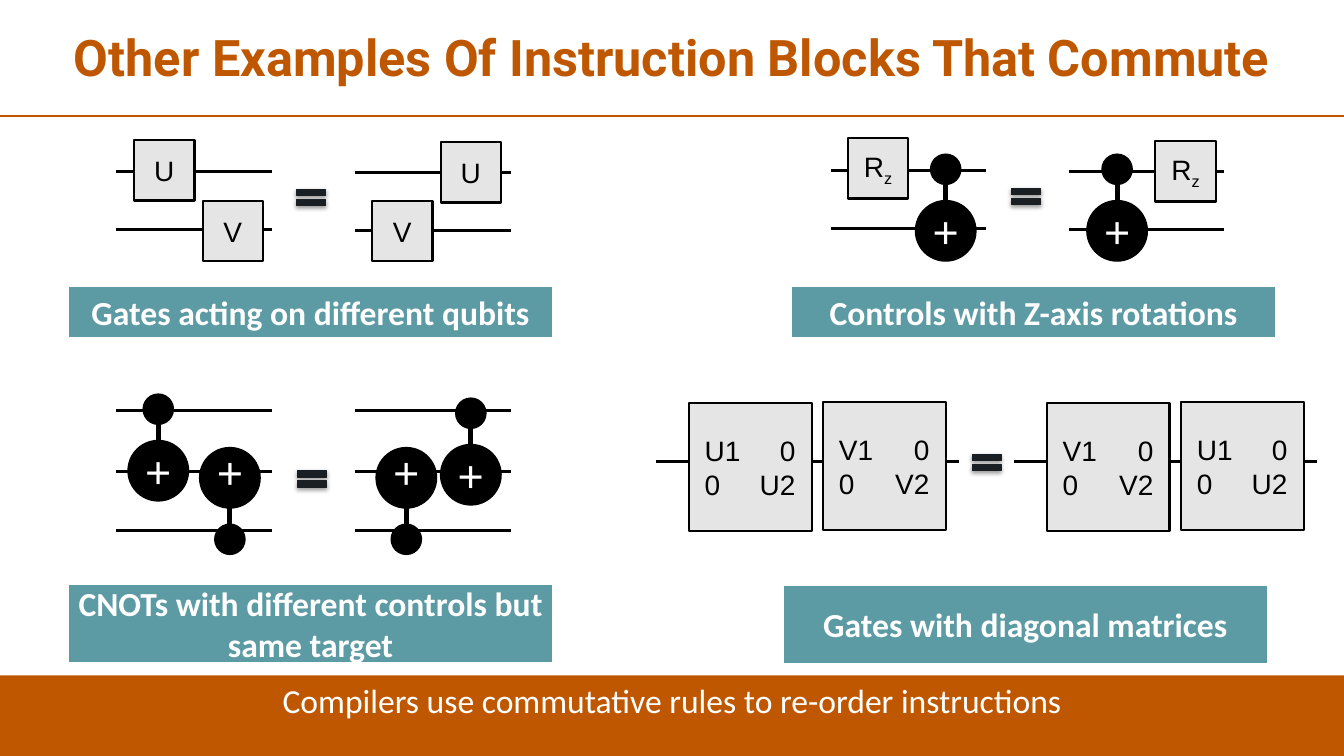
import lxml.etree
import pptx
import pptx.dml.color
import pptx.enum.shapes
import pptx.enum.text
import pptx.oxml.ns
import pptx.util

RGB = pptx.dml.color.RGBColor
SHAPE = pptx.enum.shapes.MSO_SHAPE
ALIGN = pptx.enum.text.PP_ALIGN
ANCHOR = pptx.enum.text.MSO_ANCHOR

TITLE = RGB(0xBE, 0x57, 0x00)
ORANGE = RGB(0xBF, 0x57, 0x00)
TEAL = RGB(0x5C, 0x9B, 0xA4)
GRAY = RGB(0xE5, 0xE5, 0xE5)
DARK = RGB(0x1A, 0x1F, 0x24)
BLACK = RGB(0x00, 0x00, 0x00)
WHITE = RGB(0xFF, 0xFF, 0xFF)

WIDTH, HEIGHT = 1333, 750
GATE = 60
DOT = 30
STEM = 16


def px(count):
    """Turn px, 100 to the inch, into EMU."""
    return pptx.util.Emu(count * 9144)


def add_node(parent, tag, **attrs):
    node = lxml.etree.SubElement(parent, pptx.oxml.ns.qn(tag))
    for name, value in attrs.items():
        node.set(name, str(value))
    return node


def add_line(shapes, x1, y1, x2, y2, color=BLACK, weight=2):
    line = shapes.add_connector(
        pptx.enum.shapes.MSO_CONNECTOR.STRAIGHT, px(x1), px(y1), px(x2), px(y2))
    line.line.color.rgb = color
    line.line.width = pptx.util.Pt(weight)
    add_node(line._element.spPr, "a:effectLst")


def add_box(shapes, kind, x, y, w, h, fill, edge=None, weight=1):
    box = shapes.add_shape(kind, px(x), px(y), px(w), px(h))
    box.shadow.inherit = False
    box.fill.solid()
    box.fill.fore_color.rgb = fill
    if edge is None:
        box.line.fill.background()
    else:
        box.line.color.rgb = edge
        box.line.width = pptx.util.Pt(weight)
    return box


def set_frame(box, inset=None, anchor=ANCHOR.MIDDLE):
    frame = box.text_frame
    frame.word_wrap = True
    frame.vertical_anchor = anchor
    if inset is not None:
        frame.margin_left = frame.margin_right = px(inset)
        frame.margin_top = frame.margin_bottom = 0
    return frame


def add_run(para, text, size, font, color, bold=False):
    run = para.add_run()
    run.text = text
    run.font.size = pptx.util.Pt(size)
    run.font.name = font
    run.font.color.rgb = color
    run.font.bold = bold
    return run


def add_text(frame, text, size, font, color, bold=False):
    para = frame.paragraphs[0]
    para.alignment = ALIGN.CENTER
    add_run(para, text, size, font, color, bold)
    return para


def add_wires(slide, x1, x2, *rows):
    """Start a grouped circuit with one wire per row; return its shapes."""
    shapes = slide.shapes.add_group_shape().shapes
    for y in rows:
        add_line(shapes, x1, y, x2, y)
    return shapes


def add_gate(shapes, x, y, text, sub=None):
    box = add_box(shapes, SHAPE.RECTANGLE, x, y, GATE, GATE, GRAY, BLACK, 1.5)
    para = add_text(set_frame(box, 0), text, 20, "Arial", BLACK)
    if sub:
        run = add_run(para, sub, 20, "Arial", BLACK)
        run._r.get_or_add_rPr().set("baseline", "-25000")


def add_cnot(shapes, x, y, flip=False):
    """Draw a target at x, y with its control above, or below if flipped."""
    mid = x + GATE // 2
    if flip:
        dot_y, near, far = y + GATE + STEM, y + GATE + STEM, y + GATE
    else:
        dot_y, near, far = y - STEM - DOT, y - STEM, y
    dot = add_box(shapes, SHAPE.OVAL, mid - DOT // 2, dot_y, DOT, DOT, BLACK, BLACK)
    add_line(shapes, mid, near, mid, far, weight=3.75)
    ring = add_box(shapes, SHAPE.OVAL, x, y, GATE, GATE, BLACK, BLACK)
    add_text(set_frame(ring, 0), "+", 32, "Arial", WHITE)
    dot.rotation = ring.rotation = 180 if flip else 0


def add_matrix(shapes, x, y, name):
    box = add_box(shapes, SHAPE.RECTANGLE, x, y, 122, 127, GRAY, BLACK, 1.5)
    frame = set_frame(box, 16)
    for i, text in enumerate((f"{name}1\t0", f"0\t{name}2")):
        para = frame.add_paragraph() if i else frame.paragraphs[0]
        para.alignment = ALIGN.LEFT
        tabs = add_node(para._p.get_or_add_pPr(), "a:tabLst")
        add_node(tabs, "a:tab", pos=px(90), algn="r")
        add_run(para, text, 20, "Arial", BLACK)


def add_equal(slide, x, y):
    sign = add_box(slide.shapes, SHAPE.MATH_EQUAL, x, y, 39, 28, DARK, DARK, 0.75)
    effects = sign._element.spPr.find(pptx.oxml.ns.qn("a:effectLst"))
    shade = add_node(effects, "a:outerShdw", blurRad=pptx.util.Pt(3.1),
                     dist=pptx.util.Pt(1.6), dir=5400000, rotWithShape=0)
    add_node(add_node(shade, "a:srgbClr", val=BLACK), "a:alpha", val=38000)


def add_label(slide, x, y, h, text):
    box = add_box(slide.shapes, SHAPE.RECTANGLE, x, y, 482, h, TEAL, WHITE, 2)
    add_text(set_frame(box), text, 24, "Calibri", WHITE, True)


def add_banner(slide):
    box = slide.shapes.add_textbox(px(9), px(4), px(1315), px(111))
    para = add_text(set_frame(box), "Other Examples Of Instruction Blocks That Commute",
                    36, "Roboto", TITLE, True)
    para.line_spacing = 0.9
    add_line(slide.shapes, 0, 115, WIDTH, 115, ORANGE, 1.5)


def add_footer(slide):
    bar = add_box(slide.shapes, SHAPE.RECTANGLE, 0, 670, WIDTH, 80, ORANGE)
    add_text(set_frame(bar, anchor=ANCHOR.TOP),
             "Compilers use commutative rules to re-order instructions",
             24, "Calibri", WHITE)


def main():
    deck = pptx.Presentation()
    deck.slide_width, deck.slide_height = px(WIDTH), px(HEIGHT)
    slide = deck.slides.add_slide(deck.slide_layouts[6])
    add_banner(slide)
    add_footer(slide)

    for x, y, u_x, u_y, v_x in ((115, 170, 133, 139, 201), (352, 171, 437, 141, 369)):
        wires = add_wires(slide, x, x + 155, y, y + 58)
        add_gate(wires, u_x, u_y, "U")
        add_gate(wires, v_x, 199, "V")

    for x, y, r_x, r_y, c_x in ((824, 169, 841, 137, 908), (1060, 170, 1146, 140, 1078)):
        wires = add_wires(slide, x, x + 154, y, y + 58)
        add_gate(wires, r_x, r_y, "R", "z")
        add_cnot(wires, c_x, 199)

    for x, up_x, up_y, down_x in ((115, 127, 437, 198), (352, 437, 441, 373)):
        wires = add_wires(slide, x, x + 155, 407, 468, 526)
        add_cnot(wires, up_x, up_y)
        add_cnot(wires, down_x, 444, flip=True)

    for x, names in ((651, "UV"), (1006, "VU")):
        wires = add_wires(slide, x, x + 300, 458)
        for i, name in enumerate(names):
            add_matrix(wires, x + 32 + 133 * i, 400 - i, name)

    for x, y in ((289, 182), (998, 181), (290, 461), (959, 445)):
        add_equal(slide, x, y)

    for x, y, h, text in (
            (67, 283, 53, "Gates acting on different qubits"),
            (784, 283, 53, "Controls with Z-axis rotations"),
            (67, 579, 79, "CNOTs with different controls but same target"),
            (776, 580, 79, "Gates with diagonal matrices")):
        add_label(slide, x, y, h, text)

    deck.save("out.pptx")


if __name__ == "__main__":
    main()
